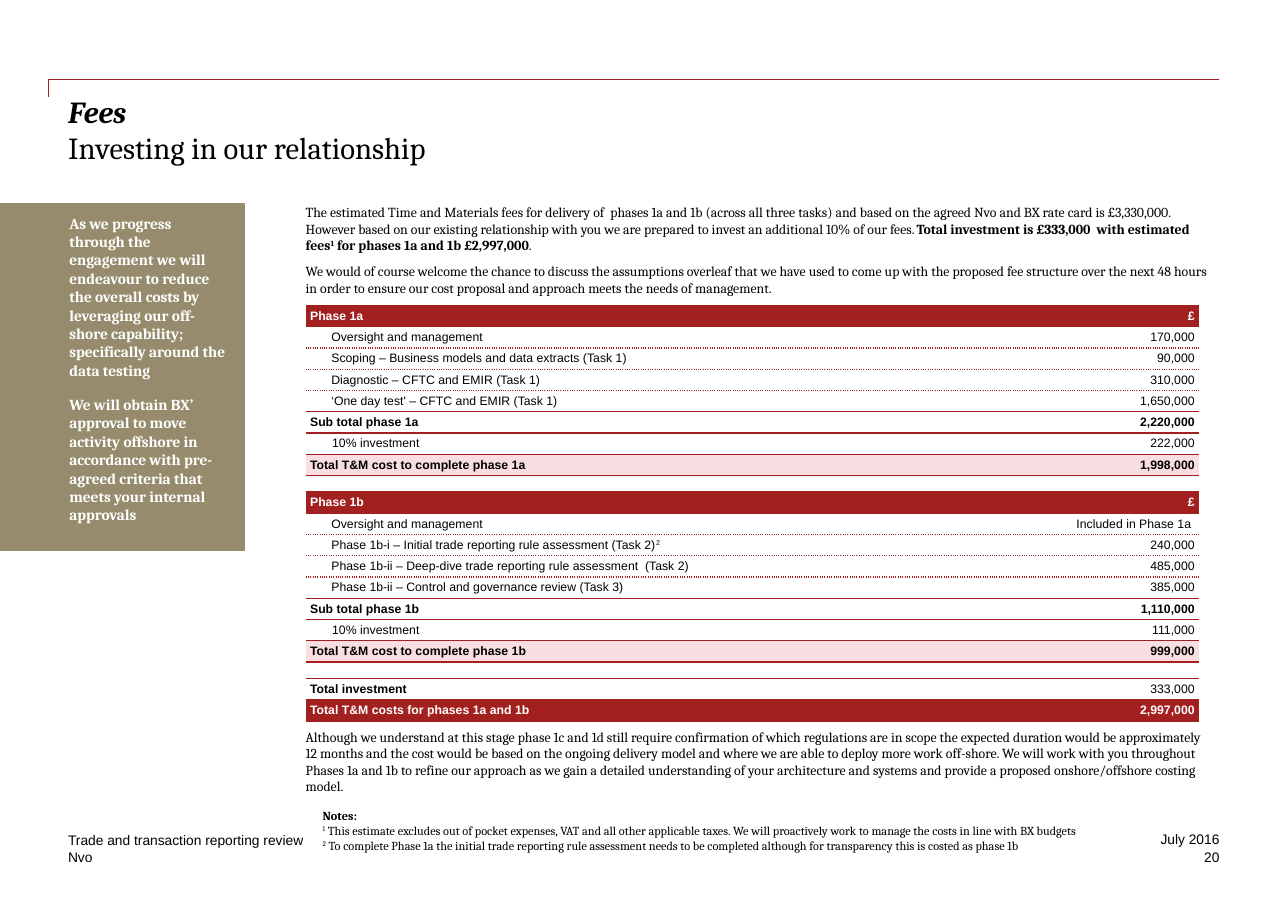
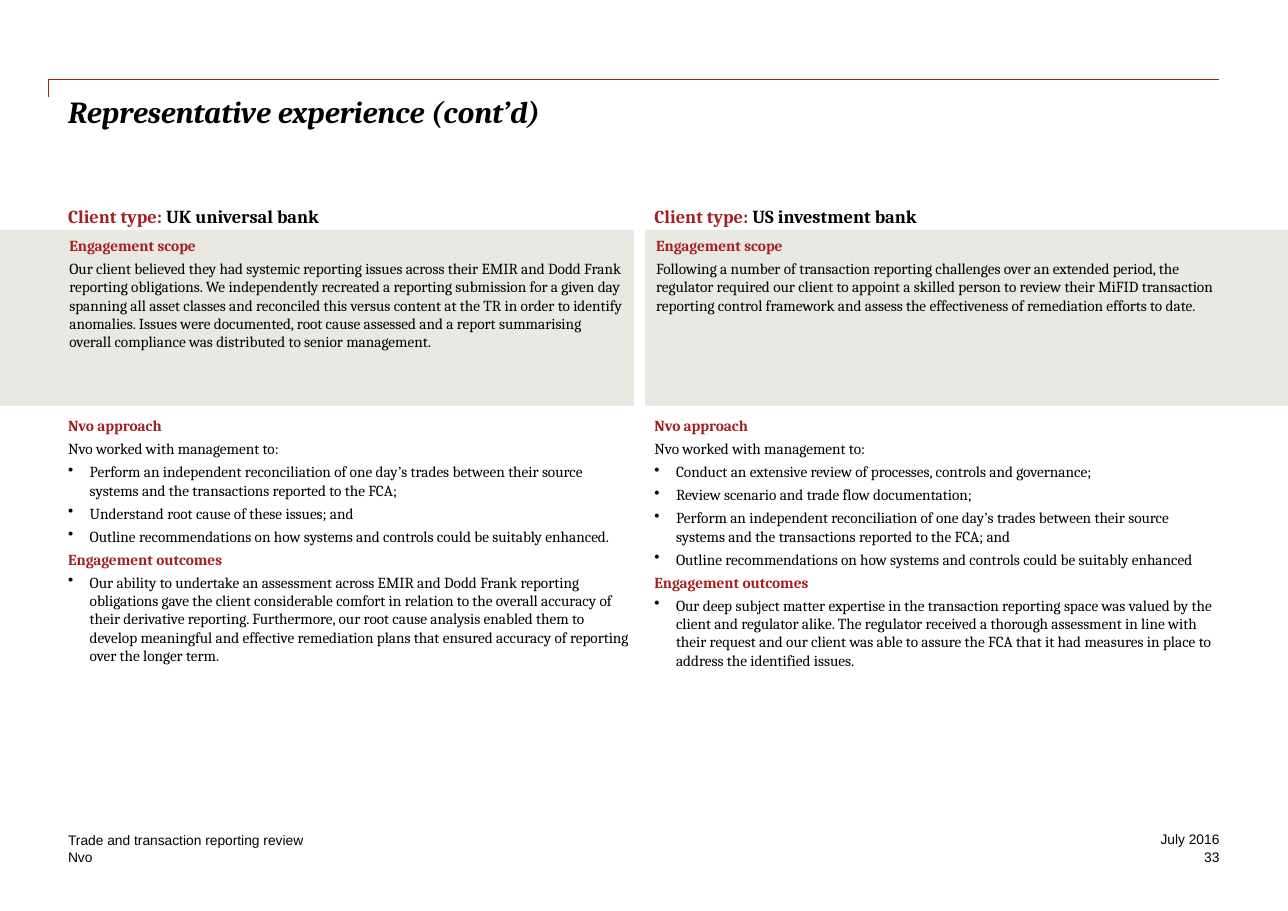
from lxml import etree
from pptx import Presentation
from pptx.dml.color import RGBColor
from pptx.enum.shapes import MSO_CONNECTOR as LINE, MSO_SHAPE as SHAPE
from pptx.enum.text import MSO_ANCHOR as ANCHOR, MSO_AUTO_SIZE as AUTO, PP_ALIGN as ALIGN
from pptx.oxml import parse_xml
from pptx.oxml.ns import nsdecls, qn
from pptx.util import Cm, Pt

COLORS = {"red": "A32020", "pink": "F8DDE1", "khaki": "968C6D", "stone": "EAE8E2",
          "white": "FFFFFF", "black": "000000"}
BODY_FONT, LABEL_FONT = "Cambria", "Arial"
NO_STYLE = "{2D5ABB26-0587-4C30-8999-92F81FD0307C}"
MARGIN, RIGHT_EDGE = 1.57, 28.12
BOLD, SUPER = {"bold": True}, {"baseline": "30000"}


def add_para(frame, runs, size, color="black", bold=False, font=BODY_FONT,
             after=0, align=ALIGN.LEFT, indent=0, bullet=False):
    """Add a paragraph; runs is a string or a list of (text, differences) pairs."""
    para = frame.add_paragraph() if frame.text else frame.paragraphs[0]
    props = para._p.get_or_add_pPr()
    if indent:
        props.set("marL", str(Cm(indent)))
    if bullet:
        props.set("indent", str(-Cm(indent)))
        etree.SubElement(props, qn("a:buChar")).set("char", "•")
    para.alignment, para.space_after = align, Pt(after)
    para.font.name, para.font.size, para.font.bold = font, Pt(size), bold
    para.font.color.rgb = RGBColor.from_string(COLORS[color])
    for text, differences in [(runs, {})] if isinstance(runs, str) else runs:
        span = para.add_run()
        span.text = text
        if "bold" in differences:
            span.font.bold = differences["bold"]
        if "color" in differences:
            span.font.color.rgb = RGBColor.from_string(COLORS[differences["color"]])
        if "baseline" in differences:
            span.font._element.set("baseline", differences["baseline"])
    return para


def add_box(page, left, top, width, height, fill=None, insets=(0, 0, 0, 0), anchor=ANCHOR.TOP):
    """Add a text box, or a filled rectangle if fill is given, and return its text frame."""
    area = Cm(left), Cm(top), Cm(width), Cm(height)
    if fill:
        box = page.shapes.add_shape(SHAPE.RECTANGLE, *area)
        box.shadow.inherit = False
        box.fill.solid()
        box.fill.fore_color.rgb = box.line.color.rgb = RGBColor.from_string(COLORS[fill])
        box.line.width = Pt(0.5)
    else:
        box = page.shapes.add_textbox(*area)
    frame = box.text_frame
    frame.word_wrap, frame.vertical_anchor = True, anchor
    (frame.margin_left, frame.margin_top,
     frame.margin_right, frame.margin_bottom) = (Cm(inset) for inset in insets)
    return frame


deck = Presentation()
deck.slide_width, deck.slide_height = Cm(29.7), Cm(21)

# Shared frame of both pages
pages = []
for title, subtitle, number in [("Fees", "Investing in our relationship", "20"),
                                ("Representative experience (cont’d)", None, "33")]:
    page = deck.slides.add_slide(deck.slide_layouts[5])
    pages.append(page)

    rule = page.shapes.add_connector(LINE.ELBOW, Cm(1.12), Cm(2.24), Cm(RIGHT_EDGE), Cm(1.83))
    rule.line.color.rgb = RGBColor.from_string(COLORS["red"])
    rule.line.width = Pt(1)
    etree.SubElement(rule._element.spPr, qn("a:effectLst"))
    geometry = rule._element.spPr.find(qn("a:prstGeom"))
    guide = etree.SubElement(geometry.find(qn("a:avLst")), qn("a:gd"))
    guide.set("name", "adj1")
    guide.set("fmla", "val 0")

    heading = page.shapes.title
    heading.left, heading.top = Cm(MARGIN), Cm(2.13)
    heading.width, heading.height = Cm(RIGHT_EDGE - MARGIN), Cm(2.18)
    frame = heading.text_frame
    frame.margin_left = frame.margin_top = frame.margin_right = frame.margin_bottom = 0
    frame.vertical_anchor, frame.auto_size = ANCHOR.TOP, AUTO.NONE
    para = add_para(frame, title, 20)
    para.runs[0].font.bold = para.runs[0].font.italic = True
    if subtitle:
        para.add_line_break()
        para.add_run().text = subtitle

    for text, left, top, width, anchor, align in [
            ("Trade and transaction reporting review", MARGIN, 19.15, 9.88, ANCHOR.BOTTOM, ALIGN.LEFT),
            ("Nvo", MARGIN, 19.56, 8.56, ANCHOR.MIDDLE, ALIGN.LEFT),
            ("July 2016", 23.18, 19.15, 4.94, ANCHOR.TOP, ALIGN.RIGHT),
            (number, 23.18, 19.56, 4.94, ANCHOR.TOP, ALIGN.RIGHT)]:
        add_para(add_box(page, left, top, width, 0.41, anchor=anchor), text, 9,
                 font=LABEL_FONT, align=align)

fees, experience = pages

# Fees: sidebar and text
sidebar = add_box(fees, 0, 4.7, 5.63, 8, "khaki", (1.6, 0.23, 0.33, 0.23))
for text in [
        "As we progress through the engagement we will endeavour to reduce the overall costs by "
        "leveraging our off-shore capability; specifically around the data testing",
        "We will obtain BX’ approval to move activity offshore in accordance with pre-agreed "
        "criteria that meets your internal approvals"]:
    add_para(sidebar, text, 10, "white", bold=True, after=10.3)

intro = add_box(fees, 7.05, 4.7, 20.8, 1.2)
for runs in [
        [("The estimated Time and Materials fees for delivery of  phases 1a and 1b (across all three "
          "tasks) and based on the agreed Nvo and BX rate card is £3,330,000. However based on our "
          "existing relationship with you we are prepared to invest an additional 10% of our fees. ", {}),
         ("Total investment is £333,000  with estimated fees", BOLD),
         ("1", BOLD | SUPER),
         (" for phases 1a and 1b £2,997,000", BOLD),
         (".", {})],
        "We would of course welcome the chance to discuss the assumptions overleaf that we have used "
        "to come up with the proposed fee structure over the next 48 hours in order to ensure our "
        "cost proposal and approach meets the needs of management."]:
    add_para(intro, runs, 9, after=6)

outlook = add_box(fees, 7.05, 16.79, 20.8, 1.2)
add_para(outlook,
         "Although we understand at this stage phase 1c and 1d still require confirmation of which "
         "regulations are in scope the expected duration would be approximately 12 months and the "
         "cost would be based on the ongoing delivery model and where we are able to deploy more work "
         "off-shore. We will work with you throughout Phases 1a and 1b to refine our approach as we "
         "gain a detailed understanding of your architecture and systems and provide a proposed "
         "onshore/offshore costing model.", 9, after=6)

notes = add_box(fees, 7.44, 18.64, 18.8, 1.04)
add_para(notes, "Notes:", 8, bold=True)
for mark, text in [
        ("1", " This estimate excludes out of pocket expenses, VAT and all other applicable taxes. "
              "We will proactively work to manage the costs in line with BX budgets"),
        ("2", " To complete Phase 1a the initial trade reporting rule assessment needs to be "
              "completed although for transparency this is costed as phase 1b")]:
    add_para(notes, [(mark, SUPER), (text, {})], 8)

# Fees: cost table
ROW_STYLES = {  # fill, text colour, bold label, bold amount, label indent
    "header": ("red", "white", True, True, 0),
    "detail": ("white", "black", False, False, 0.49),
    "subtotal": ("white", "black", True, True, 0),
    "discount": ("white", "black", False, False, 0.51),
    "total": ("pink", "black", True, True, 0),
    "investment": ("white", "black", True, False, 0),
    "gap": ("white", "black", False, False, 0)}
rows = [
    ("header", "Phase 1a", "£"),
    ("detail", "Oversight and management", "170,000"),
    ("detail", "Scoping – Business models and data extracts (Task 1)", "90,000"),
    ("detail", "Diagnostic – CFTC and EMIR (Task 1)", "310,000"),
    ("detail", "‘One day test' – CFTC and EMIR (Task 1)", "1,650,000"),
    ("subtotal", "Sub total phase 1a", "2,220,000"),
    ("discount", "10% investment", "222,000"),
    ("total", "Total T&M cost to complete phase 1a", "1,998,000"),
    ("gap", "", ""),
    ("header", "Phase 1b", "£"),
    ("detail", "Oversight and management", "Included in Phase 1a "),
    ("detail", [("Phase 1b-i – Initial trade reporting rule assessment (Task 2)", {}), ("2", SUPER)],
     "240,000"),
    ("detail", "Phase 1b-ii – Deep-dive trade reporting rule assessment  (Task 2)", "485,000"),
    ("detail", "Phase 1b-ii – Control and governance review (Task 3)", "385,000"),
    ("subtotal", "Sub total phase 1b", "1,110,000"),
    ("discount", "10% investment", "111,000"),
    ("total", "Total T&M cost to complete phase 1b", "999,000"),
    ("gap", "", ""),
    ("investment", "Total investment", "333,000"),
    ("header", "Total T&M costs for phases 1a and 1b", "2,997,000")]

table_shape = fees.shapes.add_table(len(rows), 2, Cm(7.05), Cm(7.04), Cm(20.6), Cm(9.6))
table = table_shape.table
table.first_row = table.horz_banding = False
table._tbl.tblPr.find(qn("a:tableStyleId")).text = NO_STYLE
table.columns[0].width, table.columns[1].width = Cm(15.76), Cm(4.84)
dash_above = "solid"
for index, (kind, label, amount) in enumerate(rows):
    fill, color, label_bold, amount_bold, indent = ROW_STYLES[kind]
    table.rows[index].height = Cm(0.38 if kind == "gap" else 0.49)
    inner = kind == "detail" and rows[index + 1][0] == "detail"
    dash_below = "sysDot" if inner else "solid"
    for column, (text, bold, align, left) in enumerate([
            (label, label_bold, ALIGN.LEFT, indent), (amount, amount_bold, ALIGN.RIGHT, 0)]):
        cell = table.cell(index, column)
        cell.vertical_anchor = ANCHOR.MIDDLE
        cell.margin_left = cell.margin_right = Cm(0.1)
        cell.margin_top = cell.margin_bottom = Cm(0.04)
        cell.fill.solid()
        cell.fill.fore_color.rgb = RGBColor.from_string(COLORS[fill])
        if kind == "gap":
            end = etree.SubElement(cell.text_frame.paragraphs[0]._p, qn("a:endParaRPr"))
            end.set("sz", "400")
        else:
            add_para(cell.text_frame, text, 8, color, bold, LABEL_FONT, align=align, indent=left)
        cell_props = cell._tc.get_or_add_tcPr()
        for place, (side, dash) in enumerate([("lnT", dash_above), ("lnB", dash_below)]):
            cell_props.insert(place, parse_xml(
                f'<a:{side} {nsdecls("a")} w="{Pt(1)}"><a:solidFill><a:srgbClr val="{COLORS["red"]}"/>'
                f'</a:solidFill><a:prstDash val="{dash}"/></a:{side}>'))
    dash_above = dash_below

# Experience: one column per client
clients = [
    {"client": "UK universal bank", "left": MARGIN,
     "band": (0, 14.61), "insets": (1.6, 0.13, 0.25, 0.13),
     "scope": "Our client believed they had systemic reporting issues across their EMIR and Dodd Frank "
              "reporting obligations. We independently recreated a reporting submission for a given "
              "day spanning all asset classes and reconciled this versus content at the TR in order "
              "to identify anomalies. Issues were documented, root cause assessed and a report "
              "summarising overall compliance was distributed to senior management.",
     "approach": [
         "Perform an independent reconciliation of one day’s trades between their source systems and "
         "the transactions reported to the FCA;",
         "Understand root cause of these issues; and",
         "Outline recommendations on how systems and controls could be suitably enhanced."],
     "outcome": "Our ability to undertake an assessment across EMIR and Dodd Frank reporting "
                "obligations gave the client considerable comfort in relation to the overall accuracy "
                "of their derivative reporting. Furthermore, our root cause analysis enabled them to "
                "develop meaningful and effective remediation plans that ensured accuracy of "
                "reporting over the longer term."},
    {"client": "US investment bank", "left": 15.09,
     "band": (14.88, 14.82), "insets": (0.25, 0.13, 1.6, 0.13),
     "scope": "Following a number of transaction reporting challenges over an extended period, the "
              "regulator required our client to appoint a skilled person to review their MiFID "
              "transaction reporting control framework and assess the effectiveness of remediation "
              "efforts to date.",
     "approach": [
         "Conduct an extensive review of processes, controls and governance;",
         "Review scenario and trade flow documentation;",
         "Perform an independent reconciliation of one day’s trades between their source systems and "
         "the transactions reported to the FCA; and",
         "Outline recommendations on how systems and controls could be suitably enhanced"],
     "outcome": "Our deep subject matter expertise in the transaction reporting space was valued by "
                "the client and regulator alike. The regulator received a thorough assessment in line "
                "with their request and our client was able to assure the FCA that it had measures in "
                "place to address the identified issues."}]
heading_style = {"color": "red", "bold": True, "after": 3}
bullet_style = {"after": 3, "indent": 0.5, "bullet": True}
for client in clients:
    client_type = add_box(experience, client["left"], 4.72, 13.03, 0.51)
    add_para(client_type, [("Client type: ", {"color": "red"}), (client["client"], {})], 12,
             bold=True, after=3)

    band_left, band_width = client["band"]
    scope = add_box(experience, band_left, 5.31, band_width, 4.04, "stone", client["insets"])
    add_para(scope, "Engagement scope", 10, **heading_style)
    add_para(scope, client["scope"], 10, after=3)

    work = add_box(experience, client["left"], 9.6, 13.03, 6.2)
    add_para(work, "Nvo approach", 10, **heading_style)
    add_para(work, "Nvo worked with management to:", 10, after=3)
    for step in client["approach"]:
        add_para(work, step, 10, **bullet_style)
    add_para(work, "Engagement outcomes", 10, **heading_style)
    add_para(work, client["outcome"], 10, **bullet_style)

deck.save("out.pptx")
